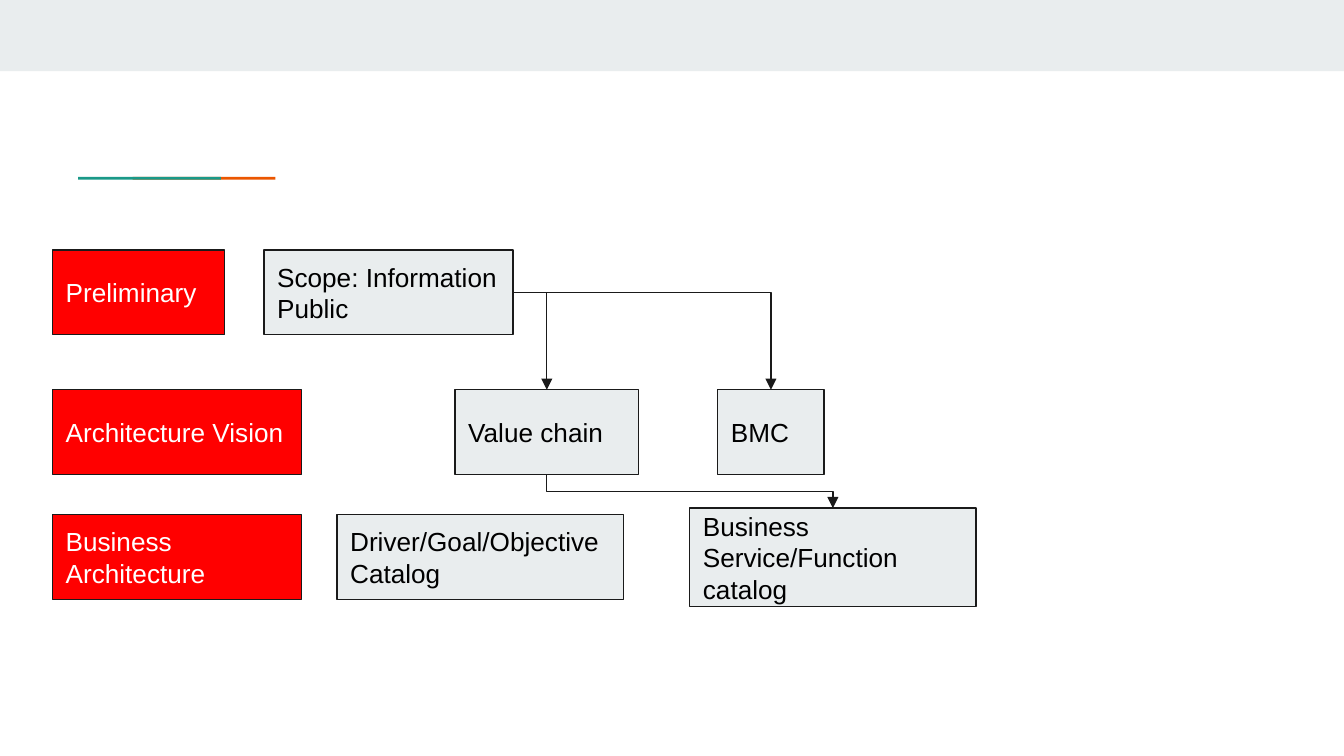
from dataclasses import dataclass

from lxml import etree
from pptx import Presentation
from pptx.dml.color import RGBColor
from pptx.enum.shapes import MSO_CONNECTOR, MSO_SHAPE
from pptx.enum.text import MSO_ANCHOR, PP_ALIGN
from pptx.oxml.ns import qn
from pptx.util import Pt

RECT = MSO_SHAPE.RECTANGLE
ELBOW = MSO_CONNECTOR.ELBOW
MIDDLE = MSO_ANCHOR.MIDDLE
LEFT = PP_ALIGN.LEFT
TOP, BOTTOM, RIGHT = 0, 2, 3  # connection sites of a rectangle


@dataclass(frozen=True)
class Theme:
    ink: str = "1A1A1A"
    text: str = "000000"
    white: str = "FFFFFF"
    pale: str = "E9EDEE"
    red: str = "FF0000"
    teal: str = "1A9988"
    orange: str = "EB5600"
    font: str = "Arial"
    size: float = 14
    line: float = 0.75
    inset: float = 7.2


THEME = Theme()
WIDTH, HEIGHT = 720, 405
ROWS = (156.6, 231.5, 298.5)  # middle of each phase
TALL = 45.4
EDGE = 28.1


def color(code):
    return RGBColor.from_string(code)


def add_bar(slide, x, y, w, h, fill):
    """Plain filled rectangle."""
    bar = slide.shapes.add_shape(RECT, Pt(x), Pt(y), Pt(w), Pt(h))
    bar.shadow.inherit = False
    bar.fill.solid()
    bar.fill.fore_color.rgb = color(fill)
    bar.line.fill.background()
    return bar


def add_box(slide, text, x, row, w, fill, ink, h=TALL):
    """Outlined label, centred on its row."""
    box = add_bar(slide, x, ROWS[row] - h / 2, w, h, fill)
    box.line.color.rgb = color(THEME.ink)
    box.line.width = Pt(THEME.line)
    frame = box.text_frame
    frame.word_wrap = True
    frame.vertical_anchor = MIDDLE
    frame.margin_left = frame.margin_right = Pt(THEME.inset)
    frame.margin_top = frame.margin_bottom = Pt(THEME.inset)
    para = frame.paragraphs[0]
    para.alignment = LEFT
    run = para.add_run()
    run.text = text
    run.font.name = THEME.font
    run.font.size = Pt(THEME.size)
    run.font.color.rgb = color(ink)
    return box


def add_phase(slide, text, row, w):
    return add_box(slide, text, EDGE, row, w, THEME.red, THEME.white)


def add_item(slide, text, x, row, w, h=TALL):
    return add_box(slide, text, x, row, w, THEME.pale, THEME.text, h)


def add_arrow(slide, start, site, end):
    """Elbow arrow from a site of one box to the top of another."""
    link = slide.shapes.add_connector(ELBOW, 0, 0, 0, 0)
    link.begin_connect(start, site)
    link.end_connect(end, TOP)
    link.line.color.rgb = color(THEME.ink)
    link.line.width = Pt(THEME.line)
    props = link._element.spPr
    if site == RIGHT:
        # One bend: across, then down
        props.find(qn("a:prstGeom")).set("prst", "bentConnector2")
    else:
        # Two bends: a quarter turn makes it leave downwards
        x, y, w, h = link.left, link.top, link.width, link.height
        link.left, link.top = x + (w - h) // 2, y + (h - w) // 2
        link.width, link.height = h, w
        frame = props.find(qn("a:xfrm"))
        frame.set("rot", "16200000")
        frame.set("flipH", "1")
    tip = etree.SubElement(link.line._get_or_add_ln(), qn("a:tailEnd"))
    tip.set("type", "triangle")
    etree.SubElement(props, qn("a:effectLst"))


def add_decor(slide):
    """Top band and two-colour rule."""
    add_bar(slide, 0, 0, WIDTH, 38.2, THEME.pale)
    add_bar(slide, 71, 94.7, 76.5, 1.5, THEME.orange)
    add_bar(slide, 41.8, 94.7, 76.5, 1.5, THEME.teal)


def main():
    deck = Presentation()
    deck.slide_width, deck.slide_height = Pt(WIDTH), Pt(HEIGHT)
    slide = deck.slides.add_slide(deck.slide_layouts[6])
    add_decor(slide)

    # Phases
    add_phase(slide, "Preliminary", 0, 92.2)
    add_phase(slide, "Architecture Vision", 1, 133.4)
    add_phase(slide, "Business Architecture", 2, 133.4)

    # Deliverables
    scope = add_item(slide, "Scope: Information Public", 141.4, 0, 133.4)
    chain = add_item(slide, "Value chain", 243.7, 1, 98.4)
    canvas = add_item(slide, "BMC", 384.5, 1, 57)
    add_item(slide, "Driver/Goal/Objective Catalog", 180.5, 2, 153.4)
    service = add_item(slide, "Business Service/Function catalog",
                       369.5, 2, 153.4, 52.6)

    # Flow
    add_arrow(slide, scope, RIGHT, chain)
    add_arrow(slide, chain, BOTTOM, service)
    add_arrow(slide, scope, RIGHT, canvas)

    deck.save("out.pptx")


if __name__ == "__main__":
    main()
